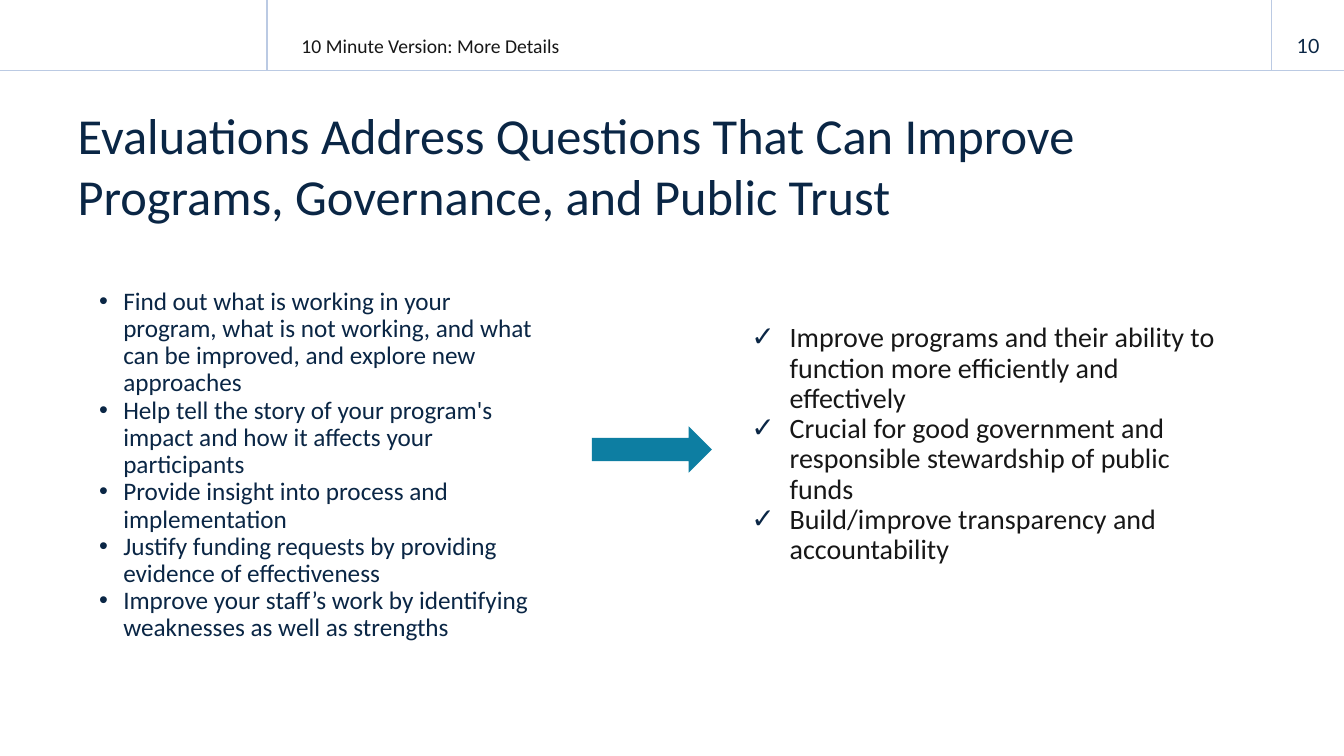
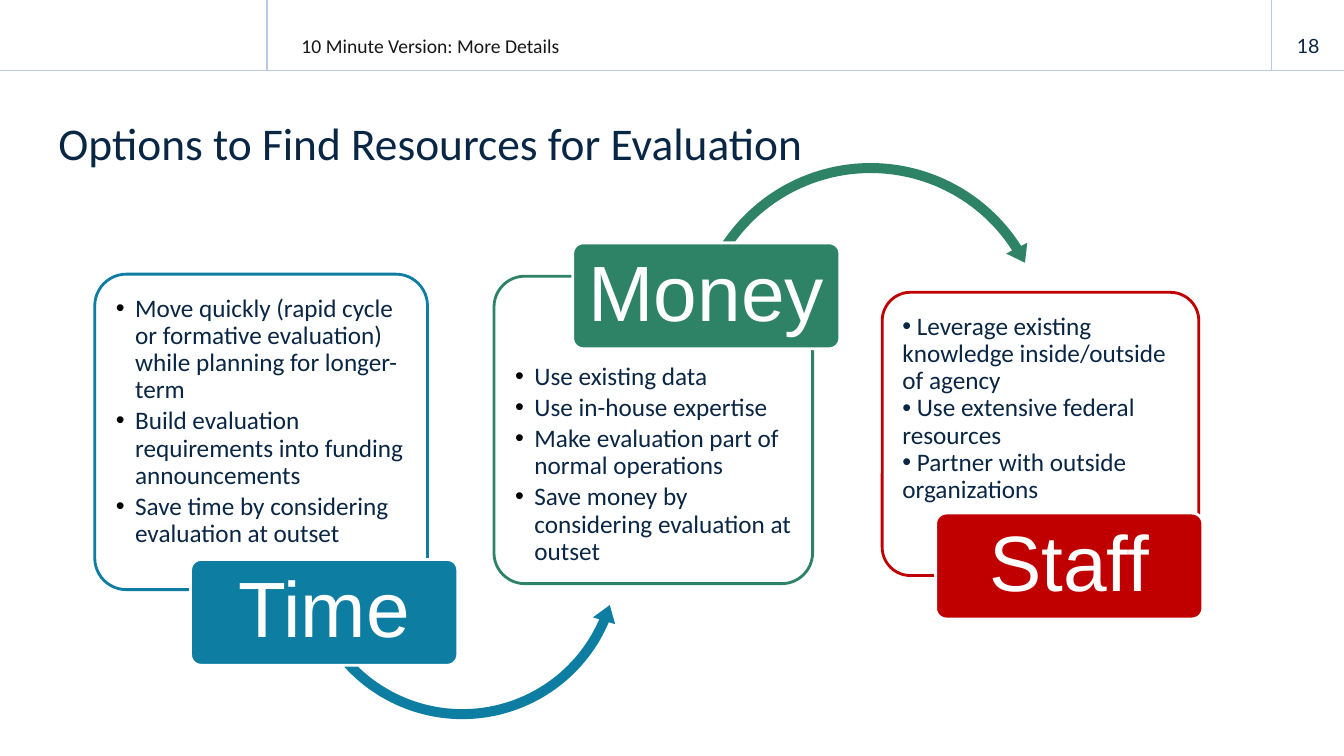
"""Build two slides on why and how to resource evaluations."""
from lxml.etree import SubElement as Sub
from pptx import Presentation
from pptx.dml.color import RGBColor as RGB
from pptx.enum.shapes import MSO_CONNECTOR as LINE, MSO_SHAPE as GEO
from pptx.enum.text import MSO_ANCHOR as ANC, PP_ALIGN as ALIGN
from pptx.oxml.ns import qn
from pptx.util import Inches, Pt

HUES = {
    "rule": "BBCAE3",
    "navy": "0A2645",
    "ink": "171717",
    "black": "000000",
    "white": "FFFFFF",
    "teal": "0D7EA2",
    "green": "2E8367",
    "red": "C00000",
}
WIDE, HIGH = 13.33, 7.5
BAND, LEFT, RIGHT = 0.7, 2.65, 12.61
TAG = (2.65, 1.05)
FLAT = (0, 0.05, 0.1, 0.05)
HEAD = {"size": 14, "hue": "ink", "anchor": ANC.BOTTOM, "pad": (0, 0.05, 0.1, 0)}
TITLE = {"size": 36, "anchor": ANC.MIDDLE}
PAGE = {"size": 14, "font": "Lato", "align": ALIGN.CENTER,
        "anchor": ANC.MIDDLE, "pad": (0.1, 0.05, 0.1, 0.05)}
NAME = {"size": 56, "font": "Arial", "hue": "white", "align": ALIGN.CENTER,
        "anchor": ANC.MIDDLE, "pad": (0.08,) * 4, "lead": 0.9}
GOALS = {"lead": 0.9, "mark": "•", "dent": (0.25, 0.24)}
GAINS = {"size": 20, "hue": "ink", "lead": 0.9, "mark": "✓", "dent": (0.39, 0.38)}
TIPS = {"lead": 0.9, "mark": "•", "dot": "black", "dent": (0.19, 0.19),
        "after": 2.7, "pad": (0.14,) * 4}
LOOSE = {**TIPS, "dot": "navy", "dent": (0, 0), "after": 0}

PANELS = [
    {
        "name": "Time", "hue": "teal", "look": TIPS,
        "box": (0.94, 2.72, 3.3, 3.13), "text": (1.01, 2.79, 3.15, 2.31),
        "tag": (1.89, 5.55),
        "arc": (GEO.LEFT_CIRCULAR_ARROW, (2.94, 3.91, 3.29, 3.29),
                (0.03, 3.73, 13.94, 82.7, 0.035)),
        "tips": [
            "Move quickly (rapid cycle or formative evaluation) while planning for longer-term",
            "Build evaluation requirements into funding announcements",
            "Save time by considering evaluation at outset",
        ],
    },
    {
        "name": "Money", "hue": "green", "look": TIPS,
        "box": (4.9, 2.74, 3.16, 3.05), "text": (4.97, 3.47, 3.02, 2.25),
        "tag": (5.68, 2.41),
        "arc": (GEO.CIRCULAR_ARROW, (6.8, 1.55, 3.67, 3.67),
                (0.027, 3.32, 196.52, 127.35, 0.032)),
        "tips": [
            "Use existing data",
            "Use in-house expertise",
            "Make evaluation part of normal operations",
            "Save money by considering evaluation at outset",
        ],
    },
    {
        "name": "Staff", "hue": "red", "look": LOOSE,
        "box": (8.75, 2.9, 3.14, 2.81), "text": (8.81, 2.97, 3.02, 2.08),
        "tag": (9.28, 5.09), "arc": None,
        "tips": [
            " Leverage existing knowledge inside/outside of agency",
            " Use extensive federal resources",
            " Partner with outside organizations",
        ],
    },
]


def tint(hue):
    return RGB.from_string(HUES[hue])


def put(item, vals):
    for key, val in vals.items():
        setattr(item, key, val)


def dot(para, mark, hue, dent):
    left, hang = dent
    prop = para._p.get_or_add_pPr()
    prop.set("marL", str(Inches(left)))
    prop.set("indent", str(-Inches(hang)))
    Sub(Sub(prop, qn("a:buClr")), qn("a:srgbClr")).set("val", HUES[hue])
    Sub(prop, qn("a:buFont")).set("typeface", "Arial")
    Sub(prop, qn("a:buChar")).set("char", mark)


def write(shape, lines, look):
    pad = [Inches(n) for n in look.get("pad", FLAT)]
    frame = shape.text_frame
    put(frame, {
        "word_wrap": True,
        "vertical_anchor": look.get("anchor", ANC.TOP),
        **dict(zip(("margin_left", "margin_top", "margin_right", "margin_bottom"), pad)),
    })
    for num, line in enumerate(lines):
        para = frame.add_paragraph() if num else frame.paragraphs[0]
        put(para, {
            "alignment": look.get("align", ALIGN.LEFT),
            "line_spacing": look.get("lead", 1.0),
            "space_before": Pt(0),
            "space_after": Pt(look.get("after", 0)),
        })
        if "mark" in look:
            dot(para, look["mark"], look.get("dot", "navy"), look["dent"])
        run = para.add_run()
        run.text = line
        put(run.font, {"name": look.get("font", "Calibri"), "size": Pt(look.get("size", 18))})
        run.font.color.rgb = tint(look.get("hue", "navy"))


def label(slide, area, lines, look):
    write(slide.shapes.add_textbox(*map(Inches, area)), lines, look)


def form(slide, kind, area, fill, edge=None, bends=()):
    shape = slide.shapes.add_shape(kind, *map(Inches, area))
    shape.shadow.inherit = False
    shape.fill.solid()
    shape.fill.fore_color.rgb = tint(fill)
    if edge:
        shape.line.color.rgb = tint(edge)
        shape.line.width = Pt(2)
    else:
        shape.line.fill.background()
    for num, bend in enumerate(bends):
        shape.adjustments[num] = bend
    return shape


def rule(slide, *ends):
    line = slide.shapes.add_connector(LINE.STRAIGHT, *map(Inches, ends))
    line.line.color.rgb = tint("rule")
    line.line.width = Pt(1)
    Sub(line._element.spPr, qn("a:effectLst"))


def start(deck, page, title, area, size=36):
    slide = deck.slides.add_slide(deck.slide_layouts[6])
    rule(slide, 0, BAND, WIDE, BAND)
    for left in (LEFT, RIGHT):
        rule(slide, left, 0, left, BAND)
    label(slide, (2.99, 0.12, 3.23, 0.45), ["10 Minute Version: More Details"], HEAD)
    label(slide, (RIGHT, 0.25, 0.73, 0.4), [page], PAGE)
    label(slide, area, [title], {**TITLE, "size": size})
    return slide


def panel(slide, part):
    hue = part["hue"]
    form(slide, GEO.ROUNDED_RECTANGLE, part["box"], "white", hue, [0.1])
    label(slide, part["text"], part["tips"], part["look"])
    if part["arc"]:
        kind, area, bends = part["arc"]
        form(slide, kind, area, hue, bends=bends)
    tag = form(slide, GEO.ROUNDED_RECTANGLE, part["tag"] + TAG, hue, "white", [0.1])
    write(tag, [part["name"]], NAME)


def value(deck):
    slide = start(
        deck, "10",
        "Evaluations Address Questions That Can Improve Programs, Governance, and Public Trust",
        (0.77, 0.91, 11.84, 1.45))
    goals = form(slide, GEO.ROUNDED_RECTANGLE, (0.77, 2.61, 4.9, 4.16), "white")
    write(goals, [
        "Find out what is working in your program, what is not working, "
        "and what can be improved, and explore new approaches",
        "Help tell the story of your program's impact and how it affects your participants",
        "Provide insight into process and implementation",
        "Justify funding requests by providing evidence of effectiveness",
        "Improve your staff’s work by identifying weaknesses as well as strengths",
    ], GOALS)
    form(slide, GEO.RIGHT_ARROW, (5.87, 4.23, 1.19, 0.46), "teal")
    gains = form(slide, GEO.ROUNDED_RECTANGLE, (7.32, 3.04, 5.1, 2.5), "white")
    write(gains, [
        "Improve programs and their ability to function more efficiently and effectively",
        "Crucial for good government and responsible stewardship of public funds",
        "Build/improve transparency and accountability",
    ], GAINS)


def means(deck):
    slide = start(deck, "18", "Options to Find Resources for Evaluation",
                  (0.58, 0.89, 7.78, 1.05), 32.4)
    for part in PANELS:
        panel(slide, part)


def main():
    deck = Presentation()
    put(deck, {"slide_width": Inches(WIDE), "slide_height": Inches(HIGH)})
    value(deck)
    means(deck)
    deck.save("out.pptx")


if __name__ == "__main__":
    main()
